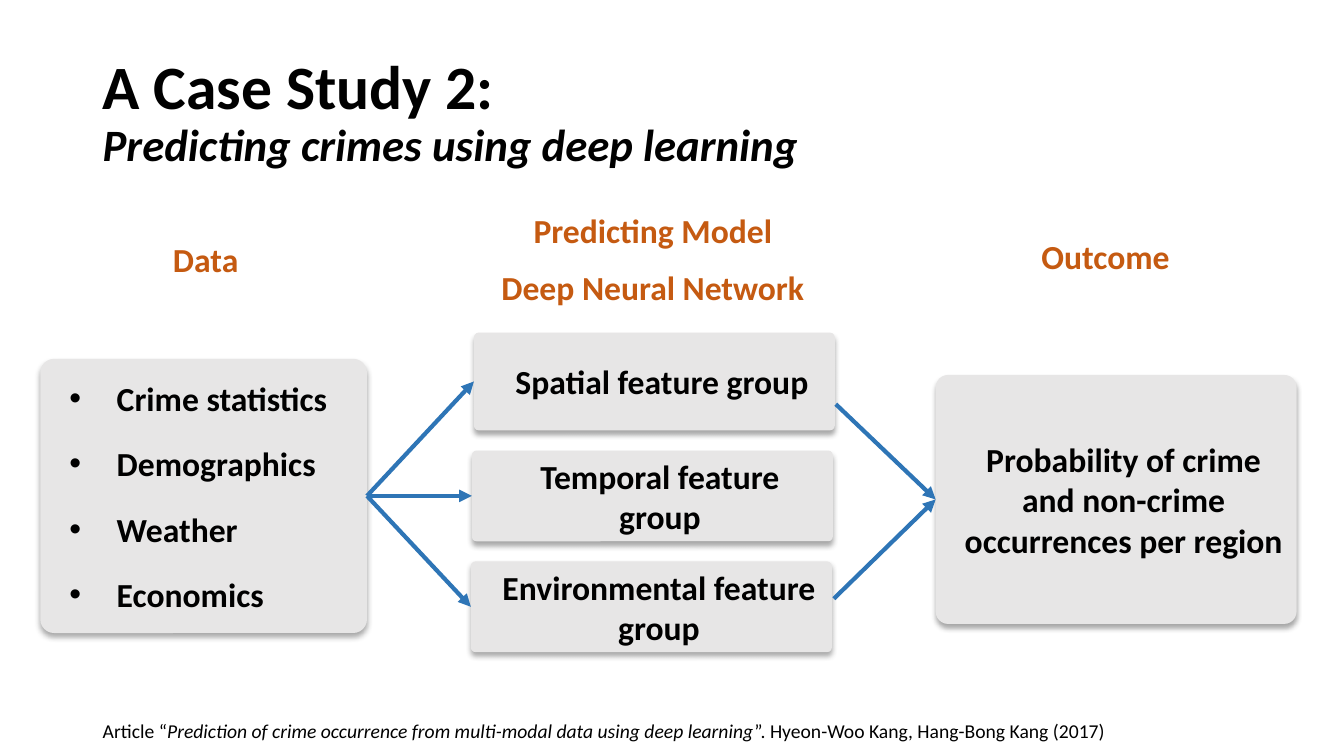
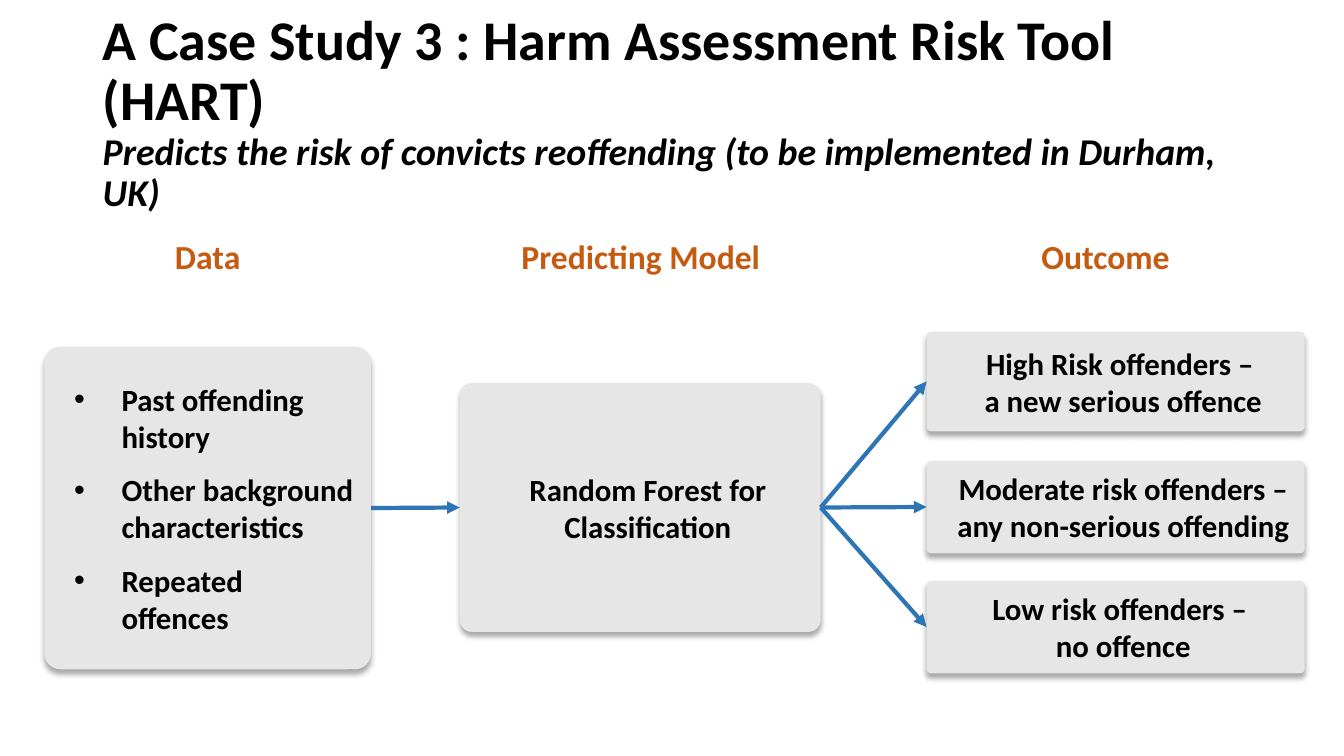
import pptx
import pptx.dml.color
import pptx.enum.shapes
import pptx.enum.text
import pptx.oxml
import pptx.oxml.ns
import pptx.util
from pptx.util import Inches, Pt

RGBColor = pptx.dml.color.RGBColor
ALIGN = pptx.enum.text.PP_ALIGN
ANCHOR = pptx.enum.text.MSO_ANCHOR

BLACK = RGBColor(0x00, 0x00, 0x00)
ORANGE = RGBColor(0xC5, 0x5A, 0x11)
BLUE = RGBColor(0x2E, 0x75, 0xB6)
GRAY = RGBColor(0xE7, 0xE6, 0xE6)
FONT = "Calibri"
TOP, LEFT, RIGHT = 0, 1, 3

SHADOW = (
    '<a:outerShdw %s blurRad="50800" dist="38100" dir="5400000" '
    'algn="t" rotWithShape="0"><a:srgbClr val="262626">'
    '<a:alpha val="40000"/></a:srgbClr></a:outerShdw>'
    % pptx.oxml.ns.nsdecls("a")
)


def add_xml(parent, tag, **attributes):
    child = parent.makeelement(pptx.oxml.ns.qn(tag), attributes)
    parent.append(child)
    return child


def style(paragraph, size, color=BLACK, bold=True):
    font = paragraph.font
    font.name, font.size, font.bold = FONT, Pt(size), bold
    font.color.rgb = color


def set_indent(paragraph, margin, first_line=0):
    properties = paragraph._p.get_or_add_pPr()
    properties.set("marL", str(Inches(margin)))
    properties.set("indent", str(Inches(first_line)))
    return properties


def paragraphs(frame, lines):
    """Yield one paragraph per line of text."""
    for index, line in enumerate(lines):
        paragraph = frame.paragraphs[0] if index == 0 else frame.add_paragraph()
        paragraph.text = line
        yield index, paragraph


def add_text_box(page, left, top, width, height, wrap=True):
    box = page.shapes.add_textbox(
        Inches(left), Inches(top), Inches(width), Inches(height))
    box.text_frame.word_wrap = wrap
    return box.text_frame


def add_title(page, title, subtitle, sizes, width):
    frame = add_text_box(page, 0.92, 0.4, width, 1.45)
    frame.vertical_anchor = ANCHOR.MIDDLE
    paragraph = frame.paragraphs[0]
    paragraph.line_spacing = 0.9
    style(paragraph, sizes[0])
    span = paragraph.add_run()
    span.text = title
    span.font.size = Pt(sizes[0])
    paragraph.add_line_break()
    span = paragraph.add_run()
    span.text = subtitle
    span.font.size = Pt(sizes[1])
    span.font.italic = True


def add_heading(page, left, top, width, *lines):
    frame = add_text_box(page, left, top, width, 0.5 * len(lines), wrap=False)
    for index, paragraph in paragraphs(frame, lines):
        paragraph.alignment = ALIGN.CENTER
        if index < len(lines) - 1:
            paragraph.space_after = Pt(12)
        style(paragraph, 24, ORANGE)


def add_card(page, left, top, width, height):
    card = page.shapes.add_shape(
        pptx.enum.shapes.MSO_SHAPE.ROUNDED_RECTANGLE,
        Inches(left), Inches(top), Inches(width), Inches(height))
    card.adjustments[0] = 0.05
    card.fill.solid()
    card.fill.fore_color.rgb = GRAY
    card.line.fill.background()
    card.shadow.inherit = False
    effects = card._element.spPr.find(pptx.oxml.ns.qn("a:effectLst"))
    effects.append(pptx.oxml.parse_xml(SHADOW))
    card.text_frame.word_wrap = True
    card.text_frame.vertical_anchor = ANCHOR.MIDDLE
    return card


def add_label_card(page, place, size, *lines):
    card = add_card(page, *place)
    for _, paragraph in paragraphs(card.text_frame, lines):
        set_indent(paragraph, 0.15)
        paragraph.alignment = ALIGN.CENTER
        style(paragraph, size)
    return card


def add_list_card(page, place, size, space_before, items):
    card = add_card(page, *place)
    for index, paragraph in paragraphs(card.text_frame, items):
        properties = set_indent(paragraph, 0.62, -0.47)
        add_xml(properties, "a:buFont", typeface="Arial")
        add_xml(properties, "a:buChar", char="•")
        paragraph.alignment = ALIGN.LEFT
        paragraph.space_before = Pt(space_before if index else 0)
        paragraph.space_after = Pt(6)
        style(paragraph, size)
    return card


def add_arrow(page, target, source=None, start=(0, 0)):
    """Point at the target's left side from a source card or a free start."""
    x, y = (Inches(value) for value in start)
    arrow = page.shapes.add_connector(
        pptx.enum.shapes.MSO_CONNECTOR.STRAIGHT, x, y, x, y)
    if source is not None:
        arrow.begin_connect(source, RIGHT)
    arrow.end_connect(target, LEFT)
    arrow.line.color.rgb = BLUE
    arrow.line.width = Pt(3)
    add_xml(arrow.line._get_or_add_ln(), "a:tailEnd", type="triangle")
    add_xml(arrow._element.spPr, "a:effectLst")


def add_citation(page, *parts):
    paragraph = add_text_box(page, 0.92, 7.08, 11.25, 0.34).paragraphs[0]
    style(paragraph, 14, bold=False)
    for text, italic in parts:
        span = paragraph.add_run()
        span.text = text
        span.font.italic = italic


def build_crime_prediction(page):
    add_title(page, "A Case Study 2:", "Predicting crimes using deep learning",
              (44, 32), 11.5)
    add_heading(page, 1.61, 2.32, 0.86, "Data")
    add_heading(page, 4.86, 2.03, 3.23, "Predicting Model", "Deep Neural Network")
    add_heading(page, 10.22, 2.29, 1.49, "Outcome")

    # Data, feature groups and outcome
    data = add_list_card(
        page, (0.4, 3.56, 3.24, 2.72), 24, 12,
        ("Crime statistics", "Demographics", "Weather", "Economics"))
    groups = [
        add_label_card(page, (left, top, 3.58, height), 24, f"{name} feature group")
        for name, left, top, height in (
            ("Spatial", 4.7, 3.3, 0.97),
            ("Temporal", 4.68, 4.47, 0.9),
            ("Environmental", 4.67, 5.57, 0.9))
    ]
    outcome = add_label_card(
        page, (9.28, 3.72, 3.58, 2.47), 24,
        "Probability of crime and non-crime occurrences per region")

    # Flow
    for group in groups:
        add_arrow(page, group, data)
    for start in ((8.29, 4.01), (8.27, 5.94)):
        add_arrow(page, outcome, start=start)

    add_citation(
        page, ("Article “", False),
        ("Prediction of crime occurrence from multi-modal data using deep learning",
         True),
        ("”. Hyeon-Woo Kang, Hang-Bong Kang (2017)", False))


def build_risk_tool(page):
    add_title(
        page, "A Case Study 3 : Harm Assessment Risk Tool (HART)",
        "Predicts the risk of convicts reoffending (to be implemented in Durham, UK)",
        (40, 27), 11.85)
    add_heading(page, 1.63, 2.29, 0.86, "Data")
    add_heading(page, 5.06, 2.29, 2.59, "Predicting Model")
    add_heading(page, 10.22, 2.29, 1.49, "Outcome")

    # Data, model and risk levels
    data = add_list_card(
        page, (0.44, 3.44, 3.24, 3.2), 22, 6,
        ("Past offending history", "Other background characteristics",
         "Repeated offences"))
    model = add_label_card(page, (4.56, 3.8, 3.58, 2.47), 22,
                           "Random Forest for Classification")
    add_arrow(page, model, data)
    for top, height, level, result in (
            (3.29, 0.99, "High Risk offenders – ", "a new serious offence"),
            (4.57, 0.92, "Moderate risk offenders –", "any non-serious offending"),
            (5.76, 0.92, "Low risk offenders – ", "no offence")):
        risk = add_label_card(page, (9.19, top, 3.75, height), 22, level, result)
        add_arrow(page, risk, model)


def main():
    deck = pptx.Presentation()
    deck.slide_width, deck.slide_height = Inches(13.33), Inches(7.5)
    for build in (build_crime_prediction, build_risk_tool):
        build(deck.slides.add_slide(deck.slide_layouts[6]))
    deck.save("out.pptx")


if __name__ == "__main__":
    main()
